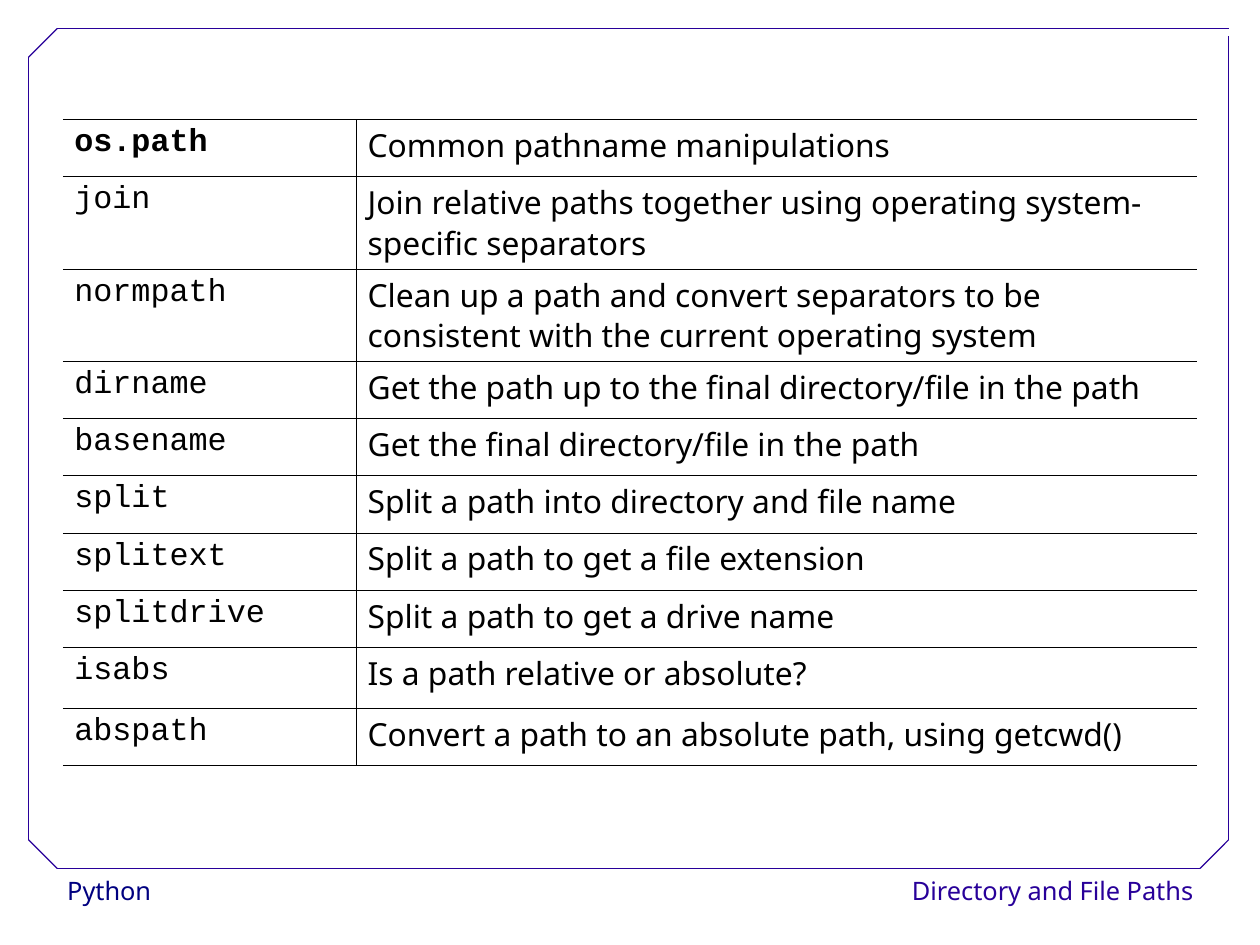
import pptx
import pptx.dml.color
import pptx.enum.shapes
import pptx.enum.text
import pptx.oxml
import pptx.oxml.ns
import pptx.util
from lxml import etree

Pt = pptx.util.Pt
ALIGN = pptx.enum.text.PP_ALIGN

FUNCTIONS = [
    ("os.path", "Common pathname manipulations", 36),
    ("join", "Join relative paths together using operating system-specific separators", 58.2),
    ("normpath", "Clean up a path and convert separators to be consistent "
                 "with the current operating system", 58.2),
    ("dirname", "Get the path up to the final directory/file in the path", 36),
    ("basename", "Get the final directory/file in the path", 36),
    ("split", "Split a path into directory and file name", 36),
    ("splitext", "Split a path to get a file extension", 36),
    ("splitdrive", "Split a path to get a drive name", 36),
    ("isabs", "Is a path relative or absolute?", 38.7),
    ("abspath", "Convert a path to an absolute path, using getcwd()", 36),
]
COLUMNS = [("Courier New", 184.8), ("Noto Sans", 529.7)]
TABLE_LEFT, TABLE_TOP = 39.6, 75.3

# text, left, width, alignment, colour
FOOTERS = [
    ("Python", 35.3, 155, ALIGN.LEFT, "000080"),
    ("Directory and File Paths", 558.9, 200, ALIGN.RIGHT, "280099"),
]
FOOTER_TOP, FOOTER_HEIGHT = 547.2, 28.8

LEFT, TOP, RIGHT, BOTTOM, CORNER = 18, 18, 774, 547, 18
FRAME = [
    (LEFT + CORNER, BOTTOM, RIGHT - CORNER, BOTTOM),
    (LEFT, BOTTOM - CORNER, LEFT, TOP + CORNER),
    (LEFT + CORNER, TOP, RIGHT, TOP),
    (RIGHT, BOTTOM - CORNER, RIGHT, TOP + 5),
    (LEFT, TOP + CORNER, LEFT + CORNER, TOP),
    (RIGHT - CORNER, BOTTOM, RIGHT, BOTTOM - CORNER),
    (LEFT, BOTTOM - CORNER, LEFT + CORNER, BOTTOM),
]


def rgb(value):
    return pptx.dml.color.RGBColor.from_string(value)


def write(p, text, font, size, color, spacing):
    p.text = text
    p.line_spacing = spacing
    p.font.name, p.font.size = font, Pt(size)
    p.font.color.rgb = rgb(color)


def add_footer(slide, text, left, width, align, color):
    s = slide.shapes.add_textbox(Pt(left), Pt(FOOTER_TOP), Pt(width), Pt(FOOTER_HEIGHT))
    s.fill.solid()
    s.fill.fore_color.rgb = rgb("FFFFFF")
    s.text_frame.word_wrap = True
    p = s.text_frame.paragraphs[0]
    p.alignment = align
    write(p, text, "Noto Sans", 16, color, 1.02)


def add_frame_line(slide, x1, y1, x2, y2):
    s = slide.shapes.add_connector(
        pptx.enum.shapes.MSO_CONNECTOR.STRAIGHT, Pt(x1), Pt(y1), Pt(x2), Pt(y2))
    s.line.color.rgb = rgb("280099")
    s.line.width = Pt(0.75)
    etree.SubElement(s._element.spPr, pptx.oxml.ns.qn("a:effectLst"))


def set_borders(cell, sides):
    """Draw thin black borders on the given sides and none on the others."""
    tcPr = cell._tc.get_or_add_tcPr()
    for i, side in enumerate("LRTB"):
        fill = '<a:solidFill><a:srgbClr val="000000"/></a:solidFill>' \
            if side in sides else "<a:noFill/>"
        tcPr.insert(i, pptx.oxml.parse_xml(
            f'<a:ln{side} {pptx.oxml.ns.nsdecls("a")} w="{Pt(0.45)}">{fill}</a:ln{side}>'))


def add_function_table(slide):
    width = sum(w for _, w in COLUMNS)
    height = sum(h for _, _, h in FUNCTIONS)
    table = slide.shapes.add_table(
        len(FUNCTIONS), len(COLUMNS),
        Pt(TABLE_LEFT), Pt(TABLE_TOP), Pt(width), Pt(height)).table
    table.first_row = table.horz_banding = False
    for c, (_, w) in enumerate(COLUMNS):
        table.columns[c].width = Pt(w)
    for r, (*texts, h) in enumerate(FUNCTIONS):
        table.rows[r].height = Pt(h)
        for c, (text, (font, _)) in enumerate(zip(texts, COLUMNS)):
            cell = table.cell(r, c)
            cell.fill.background()
            set_borders(cell, "LTB" if c else "RTB")
            p = cell.text_frame.paragraphs[0]
            write(p, text, font, 20, "000000", 0.93)
            p.space_after = Pt(14.3)
            p.font.bold = r == 0 and c == 0


def main():
    prs = pptx.Presentation()
    prs.slide_width, prs.slide_height = Pt(793.75), Pt(595.25)
    slide = prs.slides.add_slide(prs.slide_layouts[6])
    for footer in FOOTERS:
        add_footer(slide, *footer)
    for line in FRAME:
        add_frame_line(slide, *line)
    add_function_table(slide)
    prs.save("out.pptx")


if __name__ == "__main__":
    main()
